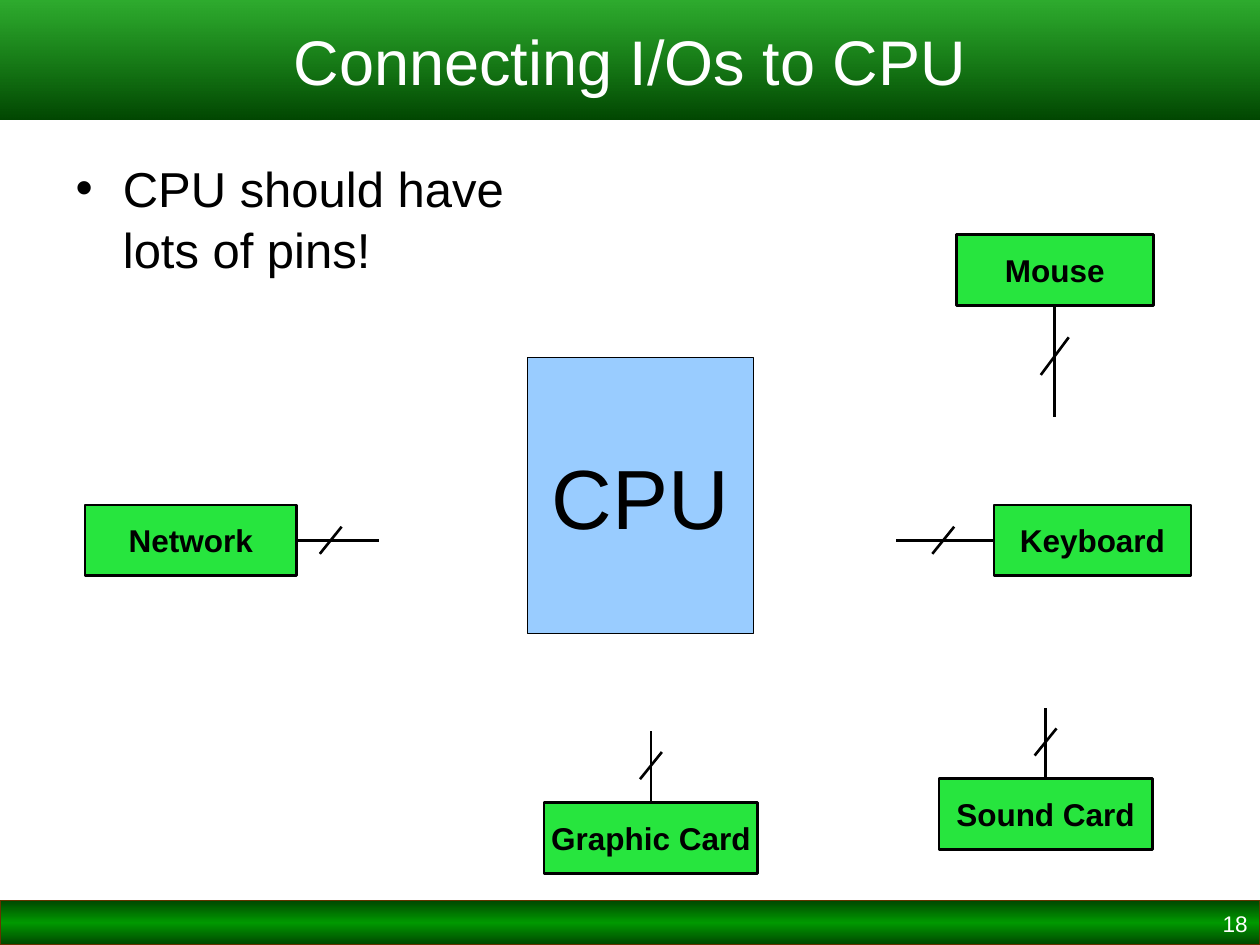
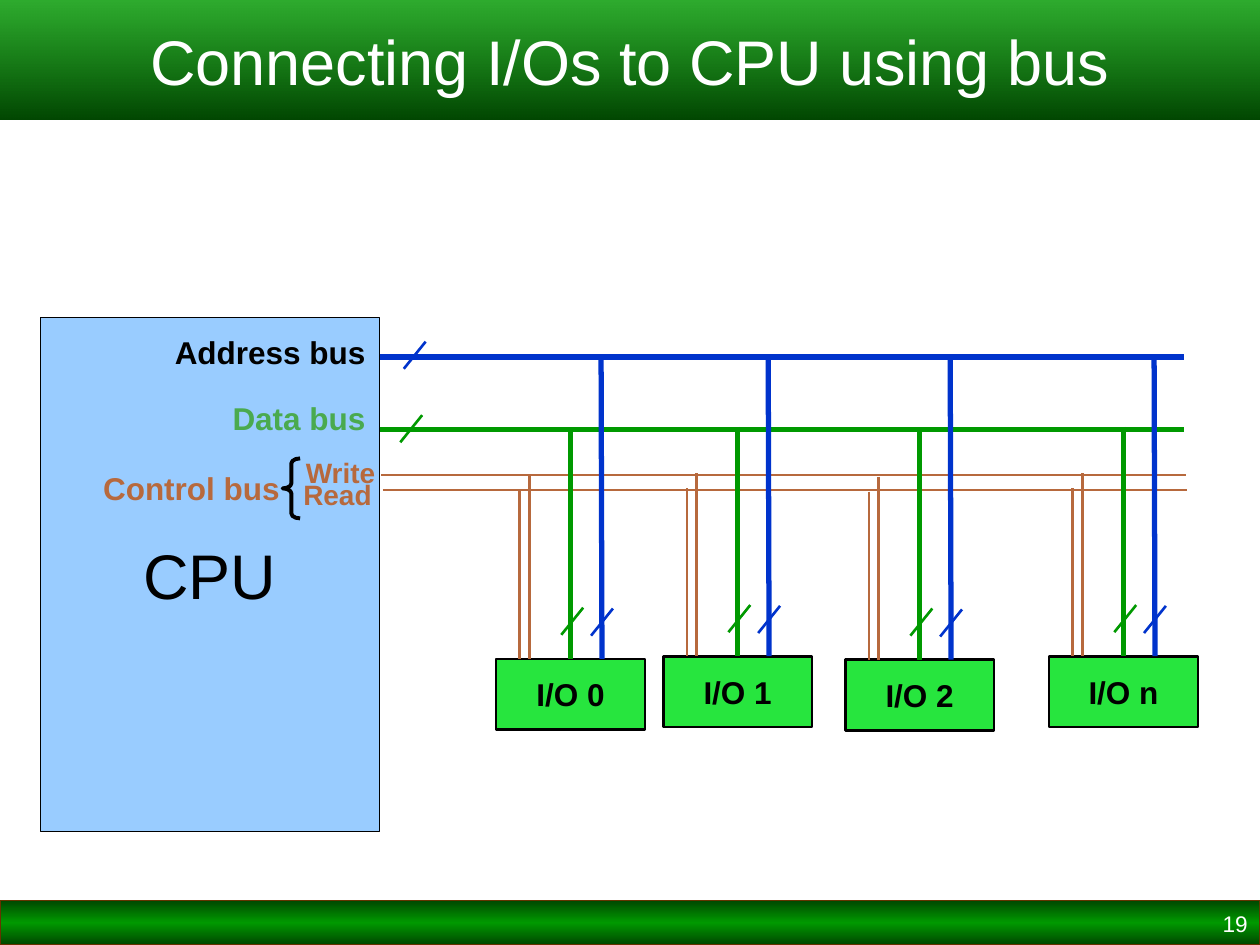
from lxml.etree import SubElement
from pptx import Presentation
from pptx.dml.color import RGBColor
from pptx.enum.shapes import MSO_CONNECTOR, MSO_SHAPE
from pptx.enum.text import MSO_ANCHOR, MSO_AUTO_SIZE, PP_ALIGN
from pptx.oxml.ns import qn
from pptx.util import Pt

WIDTH, HEIGHT = 720, 540
FONT = "Arial"
BLACK, WHITE = "000000", "FFFFFF"
BLUE, GREEN, BROWN = "0033CC", "009900", "B7693D"
DARK_GREEN, BOX_GREEN, CPU_BLUE = "004700", "27E53E", "99CCFF"

# Gradient stops: position in percent, colour, opacity in percent
TITLE_STOPS = [(0, GREEN, 82), (100, DARK_GREEN, 100)]
FOOTER_STOPS = [(0, DARK_GREEN, 100), (50, GREEN, 100), (100, DARK_GREEN, 100)]

TOP, LEFT, BOTTOM, RIGHT = range(4)
DIRECTIONS = {TOP: (0, -1), LEFT: (-1, 0), BOTTOM: (0, 1), RIGHT: (1, 0)}
SMALL_SLASH, LARGE_SLASH = (12.5, 15.5), (16, 21.5)

PINS_TITLE = "Connecting I/Os to CPU"
PINS_POINT = "CPU should have lots of pins!"
PINS_CPU = (301.5, 204.5, 129, 157.5)
# name, left, top, width, side of the stub, stub length, slash distance, slash size
DEVICES = [
    ("Mouse", 546.5, 134, 112.5, BOTTOM, 64, 29, LARGE_SLASH),
    ("Keyboard", 568, 288.5, 112.5, LEFT, 56, 29, SMALL_SLASH),
    ("Graphic Card", 311, 458.5, 122, TOP, 41, 21, SMALL_SLASH),
    ("Sound Card", 536.5, 445, 122, TOP, 40.5, 21, SMALL_SLASH),
    ("Network", 48.5, 288.5, 121, RIGHT, 47, 19.5, SMALL_SLASH),
]

BUS_TITLE = "Connecting I/Os to CPU using bus"
BUS_CPU = (23, 181.5, 194, 293.5)
# start x, y, length, colour, line width
BUSES = [
    (217, 204, 459.5, BLUE, 3),
    (217, 245.5, 459.5, GREEN, 3),
    (218, 271.5, 459.5, BROWN, 1),
    (218.75, 280, 459.5, BROWN, 1),
]
BUS_SLASHES = [(237, 203, BLUE), (235, 245, GREEN)]
# text, left, top, width, size, colour
BUS_LABELS = [
    ("Address bus", 85.5, 186.5, 130.5, 18, BLACK),
    ("Data bus", 85.5, 224.5, 130.5, 18, "4AAA4F"),
    ("Control bus", 31, 264.5, 136, 18, BROWN),
    ("Write", 157.5, 256.5, 64, 16, BROWN),
    ("Read", 159, 269.5, 60.5, 16, BROWN),
]
BRACE = (161.5, 262, 10, 34.25)
UNITS = [("I/O 0", 283.5, 376.5), ("I/O 1", 379, 375),
         ("I/O 2", 483, 377), ("I/O n", 599.5, 375)]
UNIT_WIDTH, BOX_HEIGHT = 85, 40.5
# Lines down to a unit: x at the top, x at the unit, height, colour, line width
UNIT_DROPS = [
    (60, 60.5, 172, BLUE, 3),
    (19, 19, 104.5, BROWN, 1.5),
    (13.5, 13.5, 96, BROWN, 1.5),
]
DATA_DROP = 131


def colour(hex_text):
    return RGBColor.from_string(hex_text)


def fill_gradient(shape, stops):
    """Fill a shape with colour stops running from top to bottom."""
    shape.fill.gradient()
    shape.fill.gradient_angle = 270
    stop_list = shape.element.spPr.find(qn("a:gradFill")).find(qn("a:gsLst"))
    for old_stop in list(stop_list):
        stop_list.remove(old_stop)
    for position, hex_text, opacity in stops:
        stop = SubElement(stop_list, qn("a:gs"), pos=str(position * 1000))
        stop_colour = SubElement(stop, qn("a:srgbClr"), val=hex_text)
        if opacity < 100:
            SubElement(stop_colour, qn("a:alpha"), val=str(opacity * 1000))


def place(shape, left, top, width, height):
    shape.left, shape.top = Pt(left), Pt(top)
    shape.width, shape.height = Pt(width), Pt(height)


def write(shape, text, size, hex_text, alignment, bold=False, wrap=True,
          anchor=MSO_ANCHOR.TOP):
    frame = shape.text_frame
    frame.text = text
    frame_format = {"auto_size": MSO_AUTO_SIZE.NONE, "word_wrap": wrap,
                    "vertical_anchor": anchor}
    for name, value in frame_format.items():
        setattr(frame, name, value)
    paragraph = frame.paragraphs[0]
    paragraph.alignment = alignment
    paragraph.space_before = Pt(0)
    font = paragraph.runs[0].font
    for name, value in {"name": FONT, "size": Pt(size), "bold": bold}.items():
        setattr(font, name, value)
    font.color.rgb = colour(hex_text)
    return paragraph


def add_label(slide, text, left, top, width, size, hex_text, bold=True):
    label = slide.shapes.add_textbox(Pt(left), Pt(top), Pt(width), Pt(size * 1.6))
    write(label, text, size, hex_text, PP_ALIGN.RIGHT, bold)


def add_outlined(slide, preset, bounds, line_colour, line_width):
    shape = slide.shapes.add_shape(preset, *map(Pt, bounds))
    shape.shadow.inherit = False
    shape.line.color.rgb = colour(line_colour)
    shape.line.width = Pt(line_width)
    return shape


def add_box(slide, text, bounds, fill=BOX_GREEN, line_width=1.5, size=18, bold=True):
    box = add_outlined(slide, MSO_SHAPE.RECTANGLE, bounds, BLACK, line_width)
    box.fill.solid()
    box.fill.fore_color.rgb = colour(fill)
    write(box, text, size, BLACK, PP_ALIGN.CENTER, bold, False, MSO_ANCHOR.MIDDLE)
    return box


def add_line(slide, start, end, hex_text=BLACK, width=1.5):
    line = slide.shapes.add_connector(MSO_CONNECTOR.STRAIGHT, *map(Pt, start + end))
    line.line.color.rgb = colour(hex_text)
    line.line.width = Pt(width)
    SubElement(line.element.spPr, qn("a:effectLst"))
    return line


def add_slash(slide, x, y, hex_text=BLACK, size=SMALL_SLASH):
    """Draw the stroke that marks a line of several wires, centred on x, y."""
    half_width, half_height = size[0] / 2, size[1] / 2
    add_line(slide, (x + half_width, y - half_height),
             (x - half_width, y + half_height), hex_text)


def add_slide(presentation, layout, title, number):
    slide = presentation.slides.add_slide(presentation.slide_layouts[layout])
    title_band = slide.shapes.title
    place(title_band, 0, 0, WIDTH, 68.5)
    fill_gradient(title_band, TITLE_STOPS)
    write(title_band, title, 36, WHITE, PP_ALIGN.CENTER, anchor=MSO_ANCHOR.MIDDLE)
    footer = add_outlined(slide, MSO_SHAPE.RECTANGLE, (0, 514.5, WIDTH, 25.5),
                          "663300", 0.75)
    fill_gradient(footer, FOOTER_STOPS)
    add_label(slide, number, 552, 516.5, 168, 12.9, WHITE, bold=False)
    return slide


def add_device(slide, name, left, top, width, side, length, distance, slash_size):
    box = add_box(slide, name, (left, top, width, BOX_HEIGHT))
    across, down = DIRECTIONS[side]
    x = left + width / 2 * (1 + across)
    y = top + BOX_HEIGHT / 2 * (1 + down)
    stub = add_line(slide, (x, y), (x + across * length, y + down * length))
    stub.begin_connect(box, side)
    add_slash(slide, x + across * distance, y + down * distance, size=slash_size)


def add_unit(slide, name, left, top):
    box = add_box(slide, name, (left, top, UNIT_WIDTH, BOX_HEIGHT))
    middle = left + UNIT_WIDTH / 2
    data_drop = add_line(slide, (middle, top - DATA_DROP), (middle, top), GREEN, 3)
    data_drop.end_connect(box, TOP)
    for upper, lower, height, hex_text, width in UNIT_DROPS:
        add_line(slide, (left + upper, top - height), (left + lower, top),
                 hex_text, width)
    add_slash(slide, middle + 1, top - 21.5, GREEN)
    add_slash(slide, left + 60.5, top - 21, BLUE)


def build_pins_slide(presentation):
    slide = add_slide(presentation, 1, PINS_TITLE, "18")
    body = slide.placeholders[1]
    place(body, 36, 85, 298, 119.5)
    write(body, PINS_POINT, 28, BLACK, PP_ALIGN.LEFT).line_spacing = 1.05
    for device in DEVICES:
        add_device(slide, *device)
    add_box(slide, "CPU", PINS_CPU, CPU_BLUE, 0.75, 48, False)


def build_bus_slide(presentation):
    slide = add_slide(presentation, 5, BUS_TITLE, "19")
    add_box(slide, "CPU", BUS_CPU, CPU_BLUE, 0.75, 36, False)
    for x, y, length, hex_text, width in BUSES:
        add_line(slide, (x, y), (x + length, y), hex_text, width)
    for slash in BUS_SLASHES:
        add_slash(slide, *slash)
    for label in BUS_LABELS:
        add_label(slide, *label)
    for unit in UNITS:
        add_unit(slide, *unit)
    brace = add_outlined(slide, MSO_SHAPE.LEFT_BRACE, BRACE, BLACK, 2.25)
    brace.fill.background()
    brace.adjustments[0] = 0.28


def main():
    presentation = Presentation()
    presentation.slide_width, presentation.slide_height = Pt(WIDTH), Pt(HEIGHT)
    build_pins_slide(presentation)
    build_bus_slide(presentation)
    presentation.save("out.pptx")


if __name__ == "__main__":
    main()
